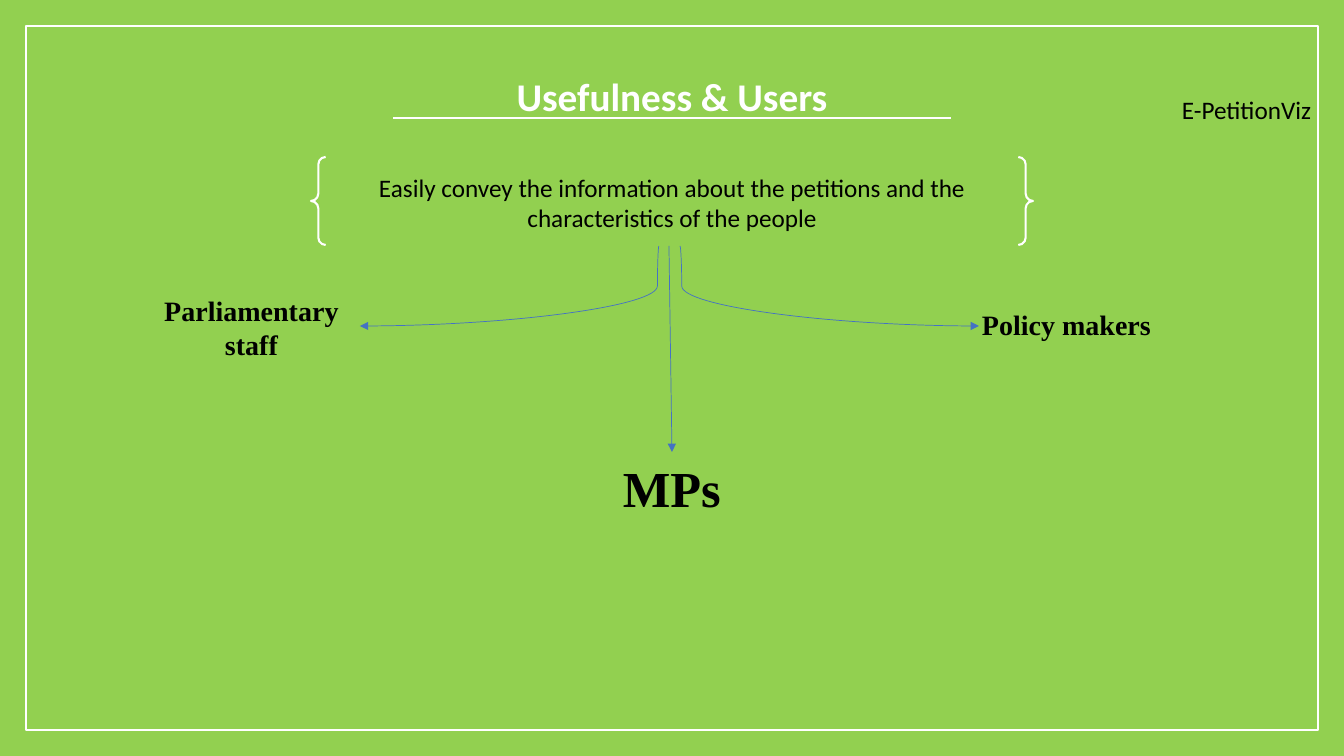
import pptx
import pptx.dml.color
import pptx.enum.shapes
import pptx.enum.text
import pptx.oxml.ns
import pptx.oxml.xmlchemy
import pptx.util

RGBColor = pptx.dml.color.RGBColor
GREEN = RGBColor(0x92, 0xD0, 0x50)
WHITE = RGBColor(0xFF, 0xFF, 0xFF)
BLACK = RGBColor(0x00, 0x00, 0x00)
BLUE = RGBColor(0x44, 0x72, 0xC4)

SANS = "Calibri"
SERIF = "Times New Roman"
LEFT = pptx.enum.text.PP_ALIGN.LEFT
CENTER = pptx.enum.text.PP_ALIGN.CENTER
SHAPE = pptx.enum.shapes.MSO_SHAPE
CONNECTOR = pptx.enum.shapes.MSO_CONNECTOR

SLIDE_W, SLIDE_H = 1344, 756
EMU_PER_PX = 12192000 / SLIDE_W


def px(n):
    return pptx.util.Emu(round(n * EMU_PER_PX))


def add_element(parent, tag, **attributes):
    element = pptx.oxml.xmlchemy.OxmlElement(tag)
    for name, value in attributes.items():
        element.set(name, value)
    parent.append(element)


def write(sp, text, font, size, color, bold=False, align=LEFT):
    tf = sp.text_frame
    tf.text = text
    tf.word_wrap = True
    tf.auto_size = pptx.enum.text.MSO_AUTO_SIZE.NONE
    tf.vertical_anchor = pptx.enum.text.MSO_ANCHOR.TOP
    p = tf.paragraphs[0]
    p.alignment = align
    r = p.runs[0]
    r.font.name = font
    r.font.size = pptx.util.Pt(size)
    r.font.bold = bold
    r.font.color.rgb = color
    return p


def add_title(slide, text, box):
    sp = slide.shapes.title
    sp.left, sp.top, sp.width, sp.height = map(px, box)
    p = write(sp, text, SANS, 28, WHITE, bold=True, align=CENTER)
    p.line_spacing = 1.07


def add_text(slide, text, box, *style, **options):
    sp = slide.shapes.add_textbox(*map(px, box))
    write(sp, text, *style, **options)


def add_outline(slide, preset, box):
    """Add an unfilled shape with a white line."""
    sp = slide.shapes.add_shape(preset, *map(px, box))
    sp.shadow.inherit = False
    sp.fill.background()
    sp.line.color.rgb = WHITE
    sp.line.width = pptx.util.Pt(1.5)


def add_line(slide, start, end, color, width, kind=CONNECTOR.STRAIGHT):
    cxn = slide.shapes.add_connector(kind, *map(px, start + end))
    cxn.line.color.rgb = color
    cxn.line.width = pptx.util.Pt(width)
    add_element(cxn._element.spPr, "a:effectLst")
    return cxn


def add_arrow(slide, start, end, kind=CONNECTOR.STRAIGHT):
    cxn = add_line(slide, start, end, BLUE, 0.5, kind)
    ln = cxn._element.spPr.find(pptx.oxml.ns.qn("a:ln"))
    add_element(ln, "a:tailEnd", type="triangle")
    return cxn


def add_curved_arrow(slide, start, end, bend):
    """Add a curved arrow; bend is where it turns, in 1/100000 of its width."""
    cxn = add_arrow(slide, start, end, CONNECTOR.CURVE)
    geom = cxn._element.spPr.find(pptx.oxml.ns.qn("a:prstGeom"))
    guides = geom.find(pptx.oxml.ns.qn("a:avLst"))
    add_element(guides, "a:gd", name="adj1", fmla=f"val {bend}")


def main():
    prs = pptx.Presentation()
    prs.slide_width, prs.slide_height = px(SLIDE_W), px(SLIDE_H)
    slide = prs.slides.add_slide(prs.slide_layouts[5])
    slide.background.fill.solid()
    slide.background.fill.fore_color.rgb = GREEN

    add_outline(slide, SHAPE.RECTANGLE, (26, 26, 1292, 704))
    add_title(slide, "Usefulness & Users", (322, 64, 700, 60))
    add_line(slide, (393, 118), (951, 118), WHITE, 1.5)

    add_text(slide, "Easily convey the information about the petitions and the "
             "characteristics of the people", (336, 167, 672, 72),
             SANS, 18, BLACK, align=CENTER)
    add_outline(slide, SHAPE.DOUBLE_BRACE, (311, 157, 722, 88))

    add_text(slide, "Parliamentary staff", (133, 289, 237, 78),
             SERIF, 20, BLACK, bold=True, align=CENTER)
    add_text(slide, "MPs", (613, 452, 169, 72), SERIF, 36, BLACK, bold=True)
    add_text(slide, "Policy makers", (972, 303, 198, 44),
             SERIF, 20, BLACK, bold=True)

    add_curved_arrow(slide, (659, 246), (360, 326), 500)
    add_curved_arrow(slide, (680, 246), (979, 326), 600)
    add_arrow(slide, (669, 246), (672, 452))

    add_text(slide, "E-PetitionViz", (1172, 89, 203, 40), SANS, 18, BLACK)
    prs.save("out.pptx")


if __name__ == "__main__":
    main()
